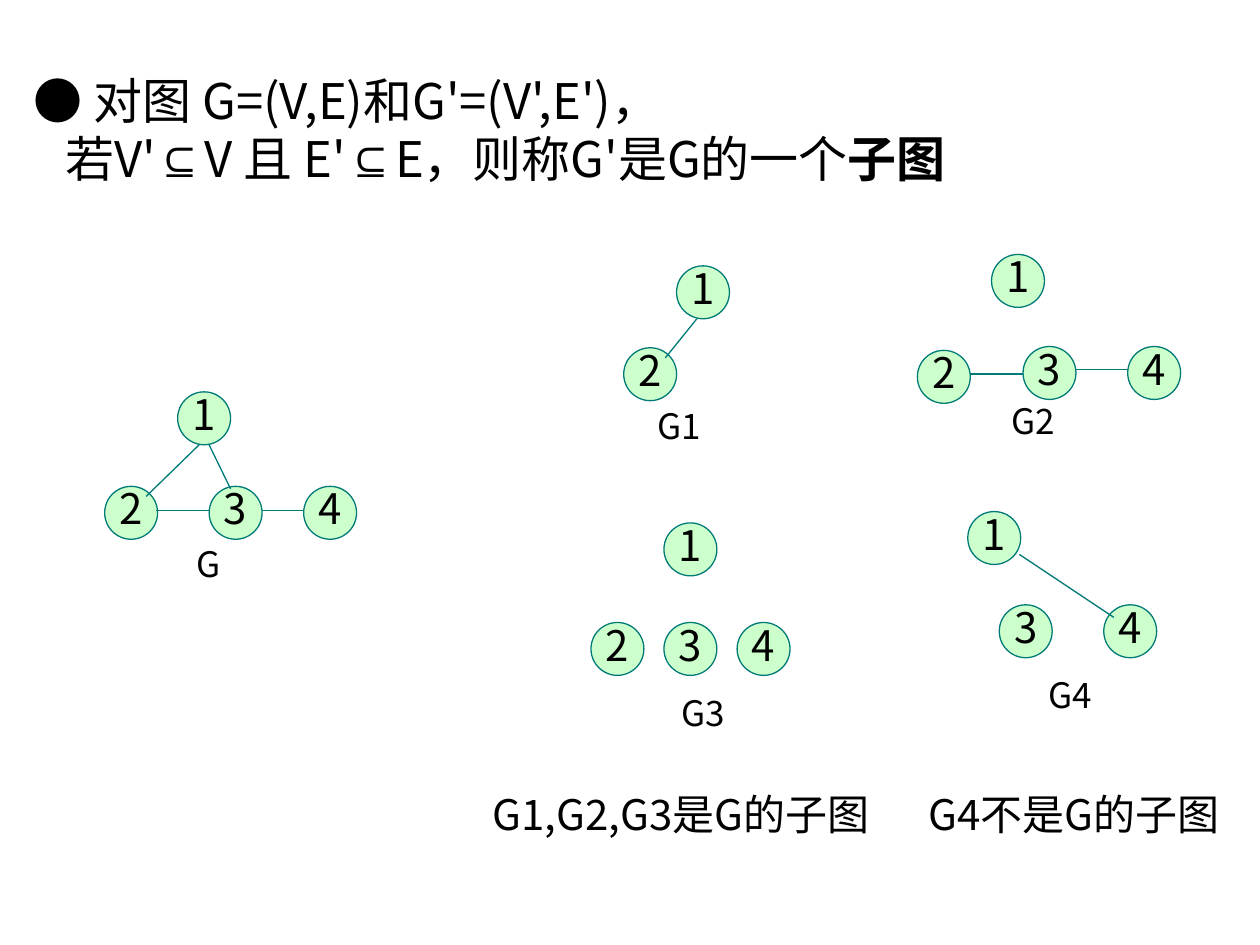
from lxml import etree
from pptx import Presentation
from pptx.dml.color import RGBColor
from pptx.enum import shapes, text
from pptx.oxml import ns
from pptx.util import Pt

COLORS = {"text": "000000", "node": "CCFFCC", "edge": "007A77"}
CJK, LATIN = "Noto Sans CJK SC", "Arial"
NODE_SIZE = 30.24

presentation = Presentation()
presentation.slide_width = Pt(720)
presentation.slide_height = Pt(540)
slide = presentation.slides.add_slide(presentation.slide_layouts[6])


def add_run(paragraph, words, size, font=CJK, bold=False):
    run = paragraph.add_run()
    run.text = words
    run.font.size = Pt(size)
    run.font.bold = bold
    run.font.name = font
    run.font.color.rgb = RGBColor.from_string(COLORS["text"])
    east_asian = etree.SubElement(run.font._element, ns.qn("a:ea"))
    east_asian.set("typeface", font)


def add_text_box(left, top, width, height, wrap):
    box = slide.shapes.add_textbox(Pt(left), Pt(top), Pt(width), Pt(height))
    box.text_frame.word_wrap = wrap
    return box.text_frame


definition = [
    (27.36, -27.36, 1.1, [("● 对图 G=(V,E)和G'=(V',E')，", CJK, False)]),
    (18, 0, 1.0, [
        ("若V'", CJK, False),
        ("⊆", LATIN, False),
        ("V 且 E'", CJK, False),
        ("⊆", LATIN, False),
        ("E，则称G'是G的一个", CJK, False),
        ("子图", CJK, True),
    ]),
]
frame = add_text_box(12.24, 33.12, 625.68, 77.76, True)
for index, (margin, indent, spacing, runs) in enumerate(definition):
    paragraph = frame.paragraphs[0] if index == 0 else frame.add_paragraph()
    paragraph.line_spacing = spacing
    properties = paragraph._p.get_or_add_pPr()
    properties.set("marL", str(Pt(margin)))
    properties.set("indent", str(Pt(indent)))
    for words, font, bold in runs:
        add_run(paragraph, words, 28, font, bold)

graphs = [
    {
        "label": ("G", 105.12, 306.72, 28.8),
        "nodes": {"1": (101.5, 223.9), "2": (59.8, 277.9), "3": (119.5, 277.9), "4": (173.5, 277.9)},
        "edges": [
            (113.8, 254.2, 83.5, 283.7),
            (119.5, 254.2, 131.8, 279.4),
            (89.3, 291.6, 119.5, 291.6),
            (149.8, 291.6, 173.5, 291.6),
        ],
    },
    {
        "label": ("G1", 368.64, 227.52, 54),
        "nodes": {"1": (386.6, 151.9), "2": (356.4, 198.7)},
        "edges": [(398.2, 182.2, 380.2, 204.5)],
    },
    {
        "label": ("G2", 570.96, 224.64, 40.32),
        "nodes": {"1": (566.6, 145.4), "2": (524.2, 200.2), "3": (584.6, 198), "4": (644.4, 198)},
        "edges": [(554.4, 213.8, 584.6, 213.8), (614.2, 211, 644.4, 211)],
    },
    {
        "label": ("G3", 382.32, 391.68, 40.32),
        "nodes": {"1": (379.4, 298.8), "2": (337.7, 355.7), "3": (379.4, 355.7), "4": (421.2, 355.7)},
        "edges": [],
    },
    {
        "label": ("G4", 591.84, 381.6, 40.32),
        "nodes": {"1": (553, 292.3), "3": (571, 345.6), "4": (630.7, 345.6)},
        "edges": [(582.5, 316.8, 636.5, 352.8)],
    },
]

for graph in graphs:
    for number, (left, top) in graph["nodes"].items():
        node = slide.shapes.add_shape(
            shapes.MSO_SHAPE.OVAL, Pt(left), Pt(top), Pt(NODE_SIZE), Pt(NODE_SIZE))
        node.shadow.inherit = False
        node.fill.solid()
        node.fill.fore_color.rgb = RGBColor.from_string(COLORS["node"])
        node.line.color.rgb = RGBColor.from_string(COLORS["edge"])
        node.line.width = Pt(0.75)
        node.text_frame.word_wrap = False
        node.text_frame.vertical_anchor = text.MSO_ANCHOR.MIDDLE
        paragraph = node.text_frame.paragraphs[0]
        paragraph.alignment = text.PP_ALIGN.CENTER
        paragraph.line_spacing = 0.8
        add_run(paragraph, number, 24)

    for points in graph["edges"]:
        edge = slide.shapes.add_connector(
            shapes.MSO_CONNECTOR.STRAIGHT, *[Pt(value) for value in points])
        edge.line.color.rgb = RGBColor.from_string(COLORS["edge"])
        edge.line.width = Pt(0.75)
        etree.SubElement(edge._element.spPr, ns.qn("a:effectLst"))

    name, left, top, width = graph["label"]
    frame = add_text_box(left, top, width, 31.68, False)
    add_run(frame.paragraphs[0], name, 20)

frame = add_text_box(274.32, 447.12, 453.6, 36, True)
paragraph = frame.paragraphs[0]
tab_list = etree.SubElement(paragraph._p.get_or_add_pPr(), ns.qn("a:tabLst"))
etree.SubElement(tab_list, ns.qn("a:tab"), pos=str(Pt(249)), algn="l")
add_run(paragraph, "G1,G2,G3是G的子图\tG4不是G的子图", 24)

presentation.save("out.pptx")
